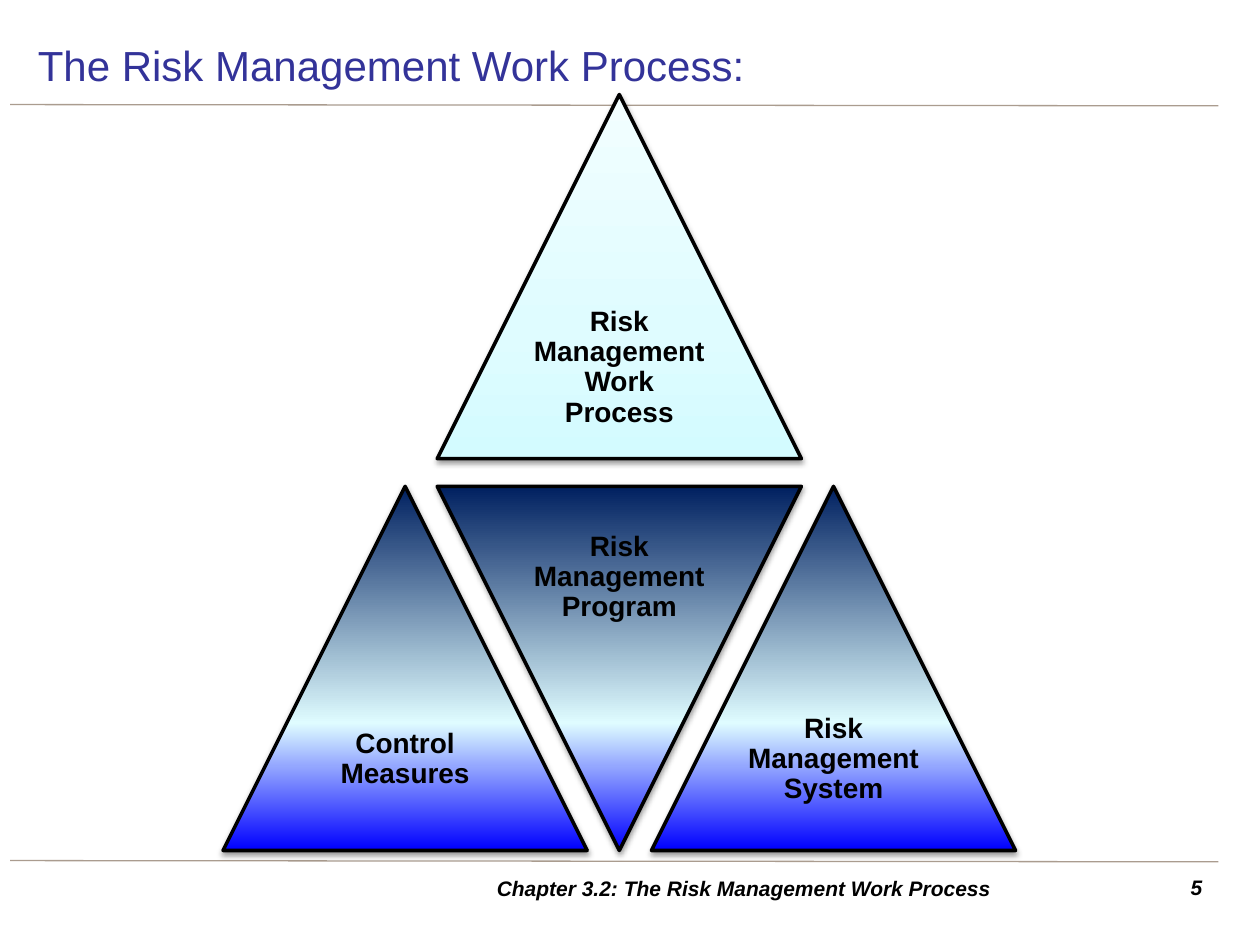
from lxml import etree
from pptx import Presentation
from pptx.dml.color import RGBColor
from pptx.enum.shapes import MSO_CONNECTOR
from pptx.enum.text import MSO_ANCHOR as Anchor, MSO_AUTO_SIZE, PP_ALIGN as Align
from pptx.oxml import parse_xml
from pptx.oxml.ns import nsdecls, qn
from pptx.util import Inches, Pt

BLACK = RGBColor(0, 0, 0)
INDIGO = RGBColor(0x33, 0x33, 0x99)
RULE = RGBColor(0xAA, 0x9C, 0x8F)
NAVY = RGBColor(0x00, 0x20, 0x60)
BLUE = RGBColor(0x00, 0x00, 0xFF)
ICE = RGBColor(0xDF, 0xFC, 0xFF)
PALE = RGBColor(0xD3, 0xFB, 0xFF)
FROST = RGBColor(0xF2, 0xFE, 0xFF)
LIGHT = (PALE, ICE, FROST)
DARK = (BLUE, ICE, NAVY)
SIDE = 2.89
COLUMN_STEP = 1.70
ROW_STEP = 3.11


def write(shape, text, size, color, align, anchor, bold=False, italic=False):
    """Put one formatted run into the shape and return its paragraph."""
    frame = shape.text_frame
    frame.word_wrap = True
    frame.auto_size = MSO_AUTO_SIZE.NONE
    frame.vertical_anchor = anchor
    para = frame.paragraphs[0]
    para.alignment = align
    span = para.add_run()
    span.text = text
    font = span.font
    font.name, font.size, font.bold, font.italic = "Arial", Pt(size), bold, italic
    font.color.rgb = color
    return para


def add_title(page, left, top, width, height):
    """Place the slide heading."""
    title = page.shapes.title
    title.left, title.top = Inches(left), Inches(top)
    title.width, title.height = Inches(width), Inches(height)
    write(title, "The Risk Management Work Process:", 24, INDIGO, Align.LEFT, Anchor.MIDDLE)


def add_rule(page, left, top, width):
    """Draw a thin line across the page."""
    line = page.shapes.add_connector(
        MSO_CONNECTOR.STRAIGHT, Inches(left), Inches(top), Inches(left + width), Inches(top + 0.01))
    line.line.color.rgb = RULE
    line.line.width = Pt(0.75)
    etree.SubElement(line._element.spPr, qn("a:effectLst"))


def add_footer_text(page, text, box, align, anchor):
    """Place one bold italic footer text in its box."""
    footer = page.shapes.add_textbox(*map(Inches, box))
    write(footer, text, 12, BLACK, align, anchor, bold=True, italic=True)


def paint(shape, colors):
    """Give the shape a gradient from bottom to top, an outline and a soft shadow."""
    stops = "".join(
        f'<a:gs pos="{position}"><a:srgbClr val="{color}"/></a:gs>'
        for position, color in zip((0, 35000, 100000), colors))
    gradient = parse_xml(
        f'<a:gradFill {nsdecls("a")} rotWithShape="1"><a:gsLst>{stops}</a:gsLst>'
        '<a:lin ang="16200000" scaled="0"/></a:gradFill>')
    shape.fill.background()
    properties = shape._element.spPr
    properties.replace(properties.find(qn("a:noFill")), gradient)
    shape.line.color.rgb = BLACK
    shape.line.width = Pt(2)
    shape.shadow.inherit = False
    properties.find(qn("a:effectLst")).append(parse_xml(
        f'<a:outerShdw {nsdecls("a")} blurRad="{Pt(3.1)}" dist="{Pt(1.6)}" dir="5400000" '
        'rotWithShape="0"><a:srgbClr val="000000"><a:alpha val="38000"/></a:srgbClr></a:outerShdw>'))


def add_triangle(page, left, top, text, colors, inverted=False):
    """Draw one labelled triangle, pointing up or down, in a square box."""
    tip, base = (top + SIDE, top) if inverted else (top, top + SIDE)
    start, apex, end = [
        (Inches(x), Inches(y))
        for x, y in ((left, base), (left + SIDE / 2, tip), (left + SIDE, base))]
    builder = page.shapes.build_freeform(*start, scale=1.0)
    builder.add_line_segments([apex, end], close=True)
    triangle = builder.convert_to_shape()
    paint(triangle, colors)
    frame = triangle.text_frame
    frame.margin_left = frame.margin_right = Inches(SIDE / 4)
    frame.margin_top = Inches(0 if inverted else SIDE / 2)
    frame.margin_bottom = Inches(SIDE / 2 if inverted else 0)
    para = write(triangle, text, 16, BLACK, Align.CENTER, Anchor.MIDDLE, bold=True)
    para.line_spacing = 0.9


def add_pyramid(page, left, top):
    """Arrange one triangle above a row of three."""
    add_triangle(page, left + COLUMN_STEP, top, "Risk Management Work Process", LIGHT)
    labels = ("Control Measures", "Risk Management Program", "Risk Management System")
    for column, label in enumerate(labels):
        add_triangle(page, left + column * COLUMN_STEP, top + ROW_STEP, label, DARK,
                     inverted=column == 1)


def main():
    """Build the slide and save the deck."""
    deck = Presentation()
    deck.slide_width, deck.slide_height = Inches(10), Inches(7.5)
    page = deck.slides.add_slide(deck.slide_layouts[5])
    for top in (0.83, 6.83):
        add_rule(page, 0.08, top, 9.59)
    add_title(page, 0.2, 0.24, 9.45, 0.55)
    add_footer_text(page, "5", (9.06, 6.89, 0.58, 0.31), Align.RIGHT, Anchor.TOP)
    add_footer_text(page, "Chapter 3.2: The Risk Management Work Process",
                    (2.95, 6.89, 5.91, 0.31), Align.CENTER, Anchor.MIDDLE)
    add_pyramid(page, 1.77, 0.75)
    deck.save("out.pptx")


if __name__ == "__main__":
    main()
